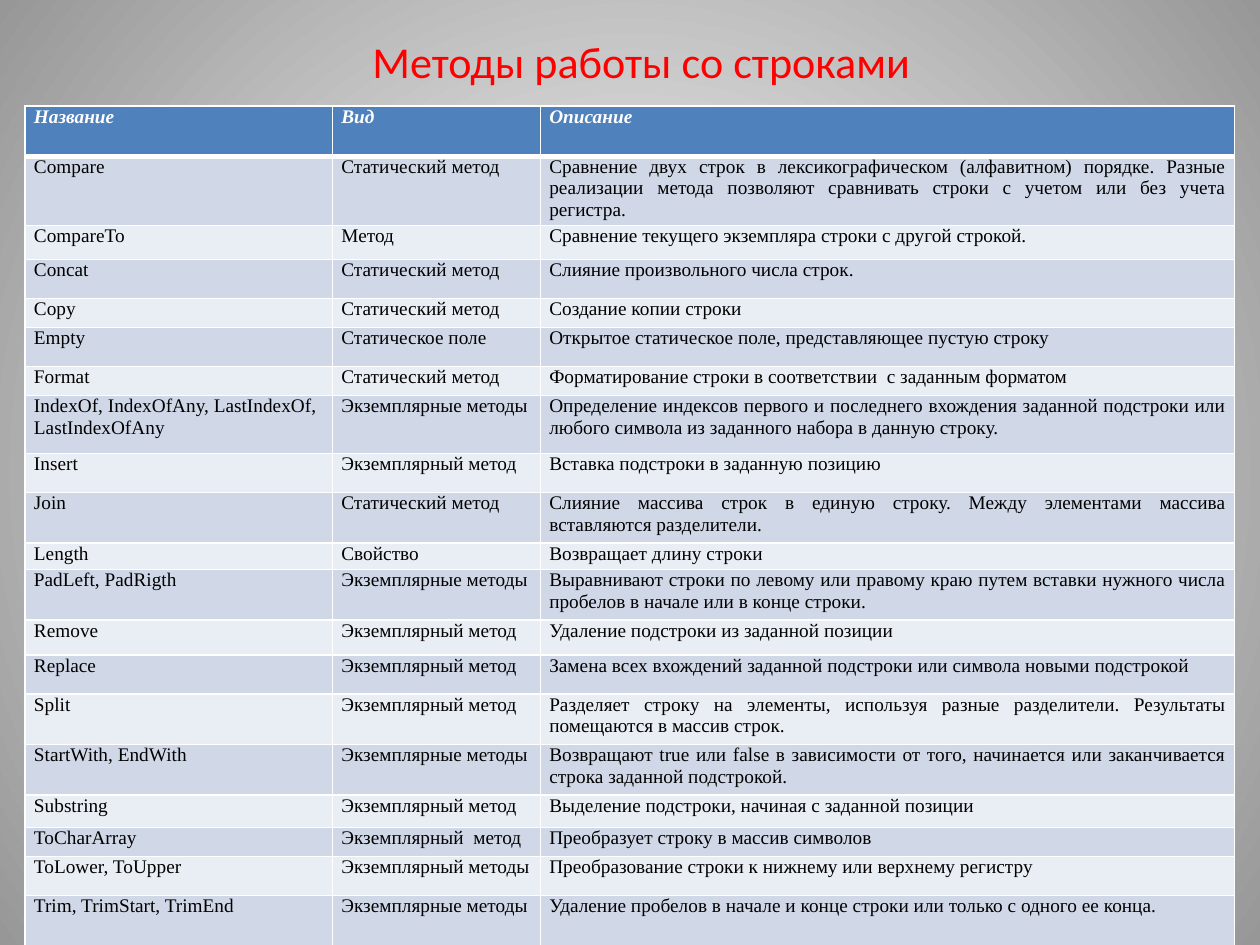
from lxml.etree import SubElement
from pptx import Presentation
from pptx.dml.color import RGBColor
from pptx.enum.text import MSO_ANCHOR, PP_ALIGN
from pptx.oxml import parse_xml
from pptx.oxml.ns import nsdecls, qn
from pptx.util import Inches, Pt

STATIC = "Статический метод"
SINGLE = "Экземплярный метод"
PLURAL = "Экземплярные методы"

COLUMNS = [24.4, 16.5, 55.1]
ROWS = [
    (4, "Название", "Вид", "Описание"),
    (5.5, "Compare", STATIC, "Сравнение двух строк в лексикографическом (алфавитном) порядке. Разные реализации метода позволяют сравнивать строки с учетом или без учета регистра."),
    (2.7, "CompareTo", "Метод", "Сравнение текущего экземпляра строки с другой строкой."),
    (3.1, "Concat", STATIC, "Слияние произвольного числа строк."),
    (2.3, "Copy", STATIC, "Создание копии строки"),
    (3.1, "Empty", "Статическое поле", "Открытое статическое поле, представляющее пустую строку"),
    (2.3, "Format", STATIC, "Форматирование строки в соответствии  с заданным форматом"),
    (4.6, "IndexOf, IndexOfAny, LastIndexOf,\nLastIndexOfAny", PLURAL, "Определение индексов первого и последнего вхождения заданной подстроки или любого символа из заданного набора в данную строку."),
    (3.1, "Insert", SINGLE, "Вставка подстроки в заданную позицию"),
    (4, "Join", STATIC, "Слияние массива строк в единую строку. Между элементами массива вставляются разделители."),
    (2.1, "Length", "Свойство", "Возвращает длину строки"),
    (4, "PadLeft, PadRigth", PLURAL, "Выравнивают строки по левому или правому краю путем вставки нужного числа пробелов в начале или в конце строки."),
    (2.8, "Remove", SINGLE, "Удаление подстроки из заданной позиции"),
    (3.1, "Replace", SINGLE, "Замена всех вхождений заданной подстроки или символа новыми подстрокой"),
    (4, "Split", SINGLE, "Разделяет строку на элементы, используя разные разделители. Результаты помещаются в массив строк."),
    (4, "StartWith, EndWith", PLURAL, "Возвращают true или false в зависимости от того, начинается или заканчивается строка заданной подстрокой."),
    (2.6, "Substring", SINGLE, "Выделение подстроки, начиная с заданной позиции"),
    (2.3, "ToCharArray", "Экземплярный  метод", "Преобразует строку в массив символов"),
    (3.1, "ToLower, ToUpper", "Экземплярный методы", "Преобразование строки к нижнему или верхнему регистру"),
    (4.1, "Trim, TrimStart, TrimEnd", PLURAL, "Удаление пробелов в начале и конце строки или только с одного ее конца."),
]


def color(value):
    return RGBColor.from_string(value)


def apply(target, values):
    for name, value in values.items():
        setattr(target, name, value)


class Slide:
    GRID = (100, 75)
    TITLE = {"name": "Calibri", "size": Pt(25.2)}
    BODY = {"name": "Times New Roman", "size": Pt(11), "bold": False, "italic": False}
    HEADER = BODY | {"bold": True, "italic": True}
    INSETS = {"margin_left": Inches(0.07), "margin_right": Inches(0.07),
              "margin_top": 0, "margin_bottom": 0}
    BANDS = ("E9EDF4", "D0D8E8")

    def __init__(self, deck):
        self.page = deck.slides.add_slide(deck.slide_layouts[6])
        self.column = deck.slide_width / self.GRID[0]
        self.row = deck.slide_height / self.GRID[1]

    def place(self, left, top, width, height):
        return (round(left * self.column), round(top * self.row),
                round(width * self.column), round(height * self.row))

    def background(self, inner, outer):
        fill = self.page.background.fill
        fill.gradient()
        for stop, value in zip(fill.gradient_stops, (inner, outer)):
            stop.color.rgb = color(value)
        gradient = self.page.element.find(".//" + qn("a:gradFill"))
        gradient.remove(gradient.find(qn("a:lin")))
        circle = SubElement(gradient, qn("a:path"), {"path": "circle"})
        SubElement(circle, qn("a:fillToRect"), dict.fromkeys("ltrb", "50000"))

    def text(self, frame, words, font, ink, align):
        frame.text = words
        for para in frame.paragraphs:
            para.alignment = align
            for span in para.runs:
                apply(span.font, font)
                span.font.color.rgb = color(ink)

    def title(self, words, ink, *area):
        box = self.page.shapes.add_textbox(*self.place(*area))
        apply(box.text_frame, {"word_wrap": True, "vertical_anchor": MSO_ANCHOR.MIDDLE})
        self.text(box.text_frame, words, self.TITLE, ink, PP_ALIGN.CENTER)

    def borders(self, cell, top, bottom):
        properties = cell._tc.get_or_add_tcPr()
        for index, (side, width) in enumerate(zip("LRTB", (1, 1, top, bottom))):
            properties.insert(index, parse_xml(
                f'<a:ln{side} {nsdecls("a")} w="{Pt(width)}"><a:solidFill>'
                f'<a:srgbClr val="FFFFFF"/></a:solidFill></a:ln{side}>'))

    def table(self, left, top, columns, rows):
        area = self.place(left, top, sum(columns), sum(row[0] for row in rows))
        table = self.page.shapes.add_table(len(rows), len(columns), *area).table
        for column, width in zip(table.columns, columns):
            column.width = round(width * self.column)
        for index, (height, *texts) in enumerate(rows):
            table.rows[index].height = round(height * self.row)
            header = index == 0
            font, ink = (self.HEADER, "FFFFFF") if header else (self.BODY, "000000")
            for cell, words in zip(table.rows[index].cells, texts):
                apply(cell, self.INSETS)
                cell.fill.solid()
                cell.fill.fore_color.rgb = color("4F81BD" if header else self.BANDS[index % 2])
                self.borders(cell, 3 if index == 1 else 1, 3 if header else 1)
                self.text(cell.text_frame, words, font, ink, PP_ALIGN.JUSTIFY)


def main():
    deck = Presentation()
    apply(deck, {"slide_width": Inches(10), "slide_height": Inches(7.5)})
    slide = Slide(deck)
    slide.background("FFFFFF", "979797")
    slide.title("Методы работы со строками", "FF0000", 5.9, 2.1, 90, 5.4)
    slide.table(2, 8.4, COLUMNS, ROWS)
    deck.save("out.pptx")


if __name__ == "__main__":
    main()
